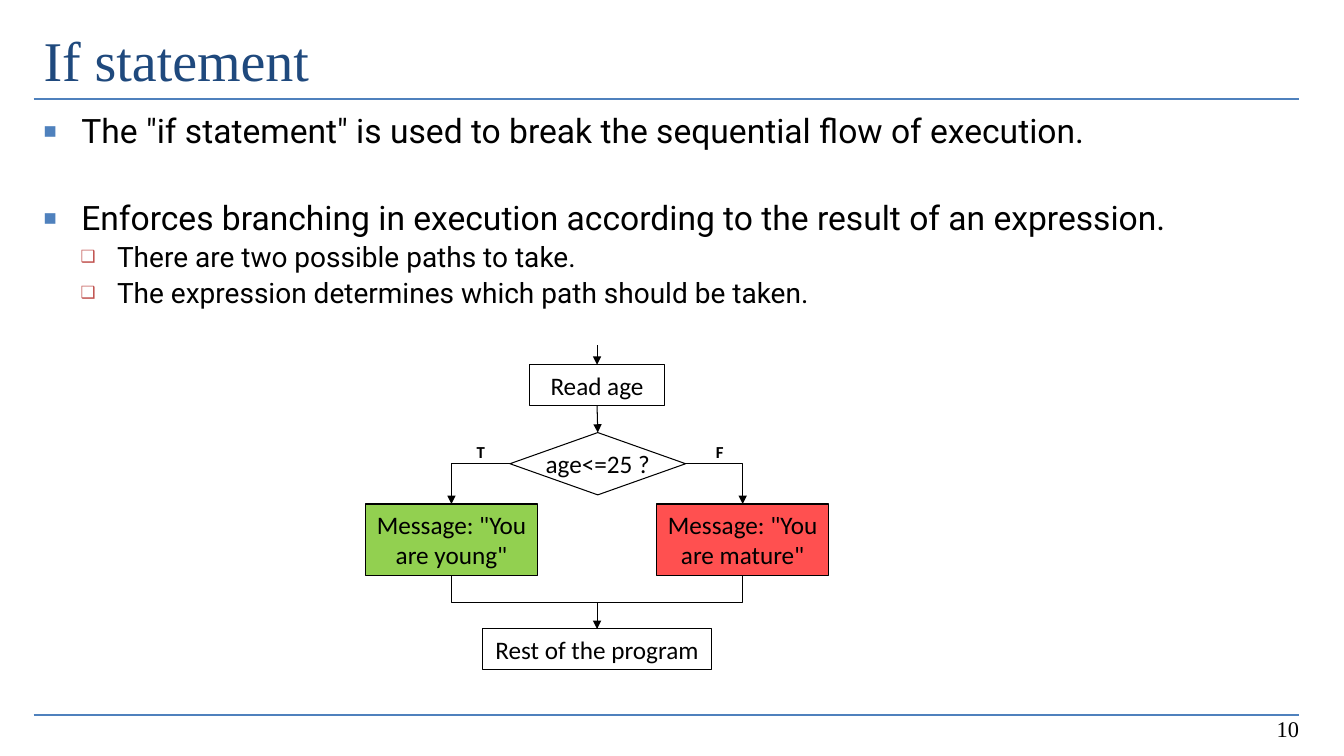
"""Builds a slide that explains the if statement with a flowchart."""
from dataclasses import dataclass

from lxml.etree import SubElement
from pptx import Presentation
from pptx.dml.color import RGBColor
from pptx.enum.shapes import MSO_CONNECTOR as Line, MSO_SHAPE as Shape
from pptx.enum.text import MSO_ANCHOR as Anchor, PP_ALIGN as Align
from pptx.oxml.ns import qn
from pptx.shapes.autoshape import Shape as Box
from pptx.shapes.connector import Connector
from pptx.slide import Slide
from pptx.util import Pt

BLACK = RGBColor(0x00, 0x00, 0x00)
WHITE = RGBColor(0xFF, 0xFF, 0xFF)
NAVY = RGBColor(0x1F, 0x49, 0x7D)
BLUE = RGBColor(0x4F, 0x81, 0xBD)
BRICK = RGBColor(0xC0, 0x50, 0x4D)
GREEN = RGBColor(0x92, 0xD0, 0x50)
RED = RGBColor(0xFF, 0x50, 0x50)

LEFT, RIGHT = 24, 928
AXIS, BRANCH = 426.5, 104
TOP, LEFT_SIDE, BOTTOM, RIGHT_SIDE = range(4)


@dataclass
class Level:
    """Look of one bullet level."""
    bullet: str
    color: RGBColor
    scale: int
    margin: float
    hang: float
    size: int


@dataclass
class Point:
    """One bulleted line."""
    text: str
    level: int
    before: float


@dataclass
class Node:
    """One flowchart step, centred on x."""
    text: str
    x: float
    top: float
    width: float
    height: float
    fill: RGBColor = WHITE
    form: Shape = Shape.RECTANGLE


LEVELS = [
    Level("■", BLUE, 65, 27, 27, 24),
    Level("❑", BRICK, 60, 52.5, 26, 20),
]
POINTS = [
    Point('The "if statement" is used to break the sequential flow of execution.', 0, 0),
    Point("Enforces branching in execution according to the result of an expression.", 0, 36),
    Point("There are two possible paths to take.", 1, 4),
    Point("The expression determines which path should be taken.", 1, 4),
]
READ = Node("Read age", AXIS, 260.6, 97, 29.2)
TEST = Node("age<=25 ?", AXIS + 0.5, 309, 125.5, 44.5, form=Shape.DIAMOND)
YOUNG = Node('Message: "You are young"', AXIS - BRANCH, 360, 123, 51, GREEN)
MATURE = Node('Message: "You are mature"', AXIS + BRANCH, 360, 123, 51, RED)
REST = Node("Rest of the program", AXIS, 449.3, 163, 29.2)


def add_text(page: Slide, frame: tuple[float, ...], text: str, font: str, size: int,
             color: RGBColor = BLACK, align: Align = Align.LEFT,
             anchor: Anchor = Anchor.TOP) -> Box:
    """Add a wrapped one-line text box."""
    box = page.shapes.add_textbox(*map(Pt, frame))
    box.text_frame.word_wrap = True
    box.text_frame.vertical_anchor = anchor
    para = box.text_frame.paragraphs[0]
    para.text, para.alignment = text, align
    span = para.runs[0]
    span.font.name, span.font.size = font, Pt(size)
    span.font.color.rgb = color
    return box


def add_points(page: Slide) -> None:
    """Add the bulleted list."""
    box = page.shapes.add_textbox(Pt(LEFT), Pt(78.5), Pt(RIGHT - LEFT), Pt(150))
    box.text_frame.word_wrap = True
    for index, point in enumerate(POINTS):
        level = LEVELS[point.level]
        para = box.text_frame.paragraphs[0] if index == 0 else box.text_frame.add_paragraph()
        para.text = point.text
        para.level = point.level
        para.line_spacing = 0.9
        if point.before:
            para.space_before = Pt(point.before)
        props = para._p.get_or_add_pPr()
        props.set("marL", str(Pt(level.margin)))
        props.set("indent", str(-Pt(level.hang)))
        SubElement(SubElement(props, qn("a:buClr")), qn("a:srgbClr"), val=str(level.color))
        SubElement(props, qn("a:buSzPct"), val=str(level.scale * 1000))
        SubElement(props, qn("a:buFont"), typeface="Arial")
        SubElement(props, qn("a:buChar"), char=level.bullet)
        span = para.runs[0]
        span.font.name, span.font.size = "Roboto", Pt(level.size)
        span.font.color.rgb = BLACK


def add_node(page: Slide, node: Node) -> Box:
    """Add one flowchart step."""
    box = page.shapes.add_shape(node.form, Pt(node.x - node.width / 2), Pt(node.top),
                                Pt(node.width), Pt(node.height))
    box.shadow.inherit = False
    box.fill.solid()
    box.fill.fore_color.rgb = node.fill
    box.line.color.rgb = BLACK
    box.line.width = Pt(0.75)
    box.text_frame.word_wrap = node.form != Shape.DIAMOND
    box.text_frame.vertical_anchor = Anchor.MIDDLE
    para = box.text_frame.paragraphs[0]
    para.text, para.alignment = node.text, Align.CENTER
    span = para.runs[0]
    span.font.name, span.font.size = "Calibri", Pt(18)
    span.font.color.rgb = BLACK
    return box


def add_line(page: Slide, ends: tuple[float, ...], kind: Line = Line.STRAIGHT,
             color: RGBColor = BLACK, width: float = 0.75, arrow: bool = True) -> Connector:
    """Add a connector between two points, with an arrowhead if asked."""
    line = page.shapes.add_connector(kind, *map(Pt, ends))
    line.line.color.rgb = color
    line.line.width = Pt(width)
    if arrow:
        SubElement(line.line._get_or_add_ln(), qn("a:tailEnd"), type="triangle")
    SubElement(line._element.spPr, qn("a:effectLst"))
    return line


def add_branch(page: Slide, start: Box, side: int, end: Box, ends: tuple[float, ...]) -> None:
    """Add a one-bend arrow from the test to a message."""
    line = add_line(page, ends, Line.ELBOW)
    line._element.spPr.find(qn("a:prstGeom")).set("prst", "bentConnector2")
    line.begin_connect(start, side)
    line.end_connect(end, TOP)


def add_merge(page: Slide, node: Node, arrow: bool) -> None:
    """Add a down-across-down line from a message to the last step."""
    bottom = node.top + node.height
    x, y = (node.x + REST.x) / 2, (bottom + REST.top) / 2
    drop, reach = (REST.top - bottom) / 2, (node.x - REST.x) / 2
    line = add_line(page, (x - drop, y - reach, x + drop, y + reach), Line.ELBOW, arrow=arrow)
    line._element.spPr.find(qn("a:xfrm")).set("rot", "5400000")


def add_flowchart(page: Slide) -> None:
    """Add the steps, arrows and branch labels."""
    read, test, young, mature, rest = [
        add_node(page, node) for node in (READ, TEST, YOUNG, MATURE, REST)]
    entry = add_line(page, (AXIS, 246.5, AXIS, READ.top))
    entry.end_connect(read, TOP)
    step = add_line(page, (AXIS, READ.top + READ.height, TEST.x, TEST.top))
    step.begin_connect(read, BOTTOM)
    step.end_connect(test, TOP)
    middle = TEST.top + TEST.height / 2
    for message, node, side, sign in ((young, YOUNG, LEFT_SIDE, -1),
                                      (mature, MATURE, RIGHT_SIDE, 1)):
        corner = TEST.x + sign * TEST.width / 2
        add_branch(page, test, side, message, (corner, middle, node.x, node.top))
        add_merge(page, node, arrow=sign > 0)
    for text, x in (("T", 332), ("F", 502.5)):
        label = add_text(page, (x, 315.4, 23, 14.4), text, "Calibri", 12, align=Align.CENTER)
        frame = label.text_frame
        frame.margin_left = frame.margin_right = frame.margin_top = frame.margin_bottom = 0
        frame.paragraphs[0].runs[0].font.bold = True


def main() -> None:
    """Build and save the deck."""
    deck = Presentation()
    deck.slide_width, deck.slide_height = Pt(960), Pt(540)
    page = deck.slides.add_slide(deck.slide_layouts[6])
    for y in (510.5, 70.6):
        add_line(page, (LEFT, y, RIGHT, y), color=BLUE, width=1.5, arrow=False)
    add_text(page, (LEFT, 15, RIGHT - LEFT, 54), "If statement", "Times New Roman", 40, NAVY)
    add_text(page, (711, 497.5, 224, 36), "10", "Times New Roman", 16,
             align=Align.RIGHT, anchor=Anchor.BOTTOM)
    add_points(page)
    add_flowchart(page)
    deck.save("out.pptx")


if __name__ == "__main__":
    main()
